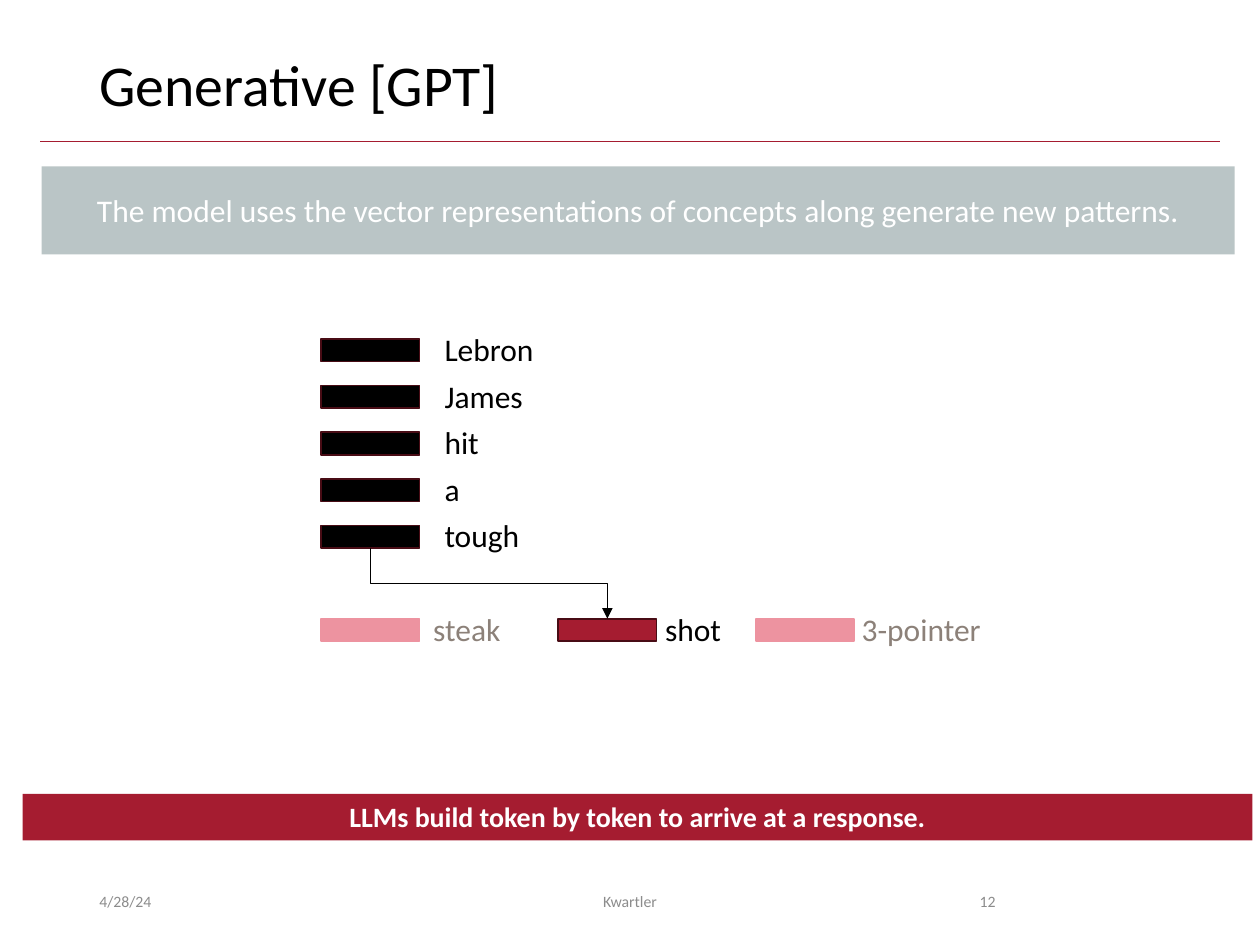
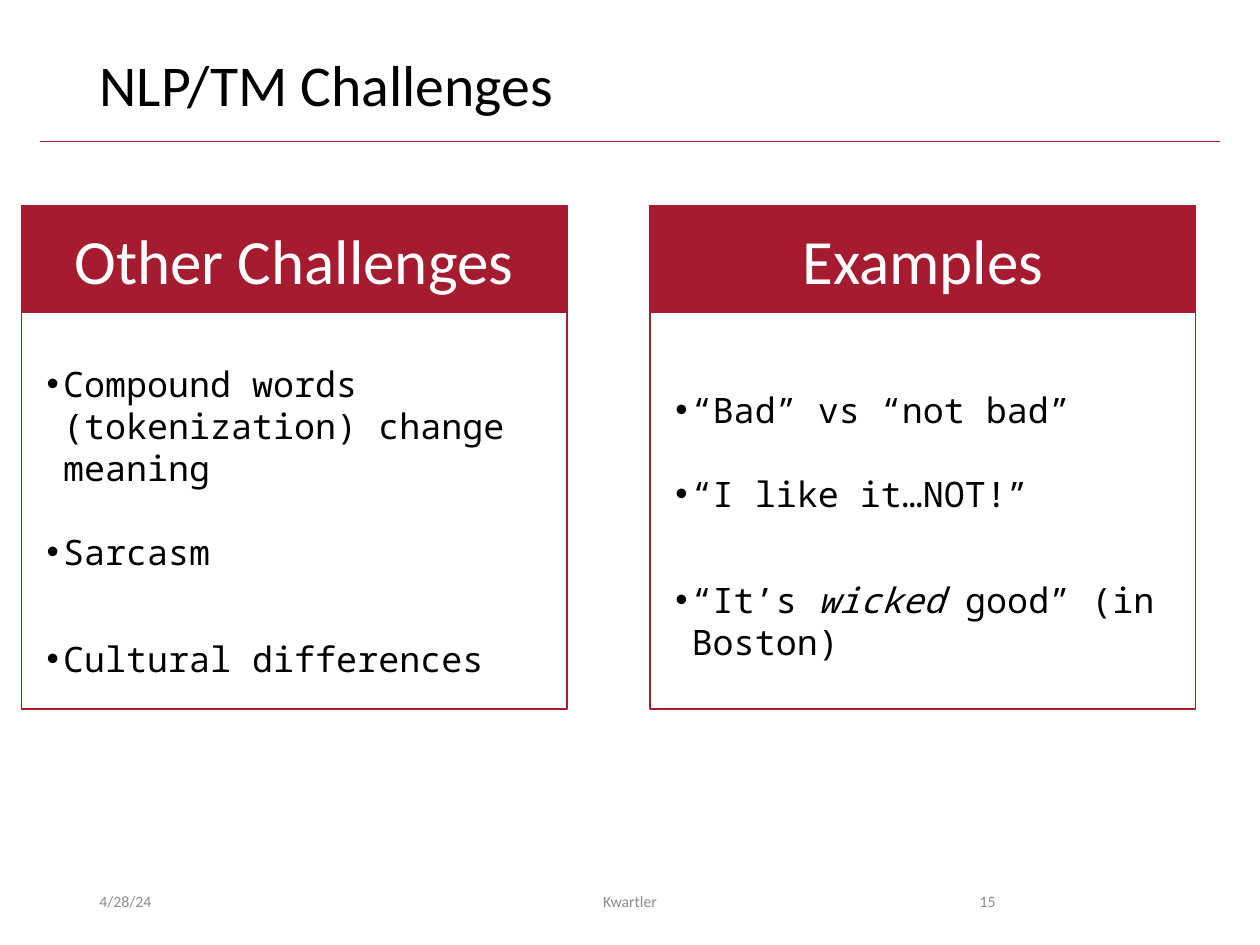
"""Build two language-model slides: token generation and text-mining challenges."""
from lxml.etree import SubElement
from pptx import Presentation
from pptx.dml.color import RGBColor
from pptx.enum.shapes import MSO_CONNECTOR, MSO_SHAPE
from pptx.enum.text import MSO_ANCHOR, MSO_AUTO_SIZE, PP_ALIGN
from pptx.oxml.ns import qn
from pptx.util import Inches, Pt

COLORS = {
    "crimson": "A51C30", "dark_crimson": "480C15", "pink": "ED93A0",
    "mist": "BAC5C6", "stone": "8C8179", "footer": "8C8C8C",
    "black": "000000", "white": "FFFFFF",
}
BODY_FONT = "Calibri"
LIST_FONT = "Noto Sans Mono"

GENERATIVE = {
    "title": "Generative [GPT]",
    "number": "12",
    "banner": "The model uses the vector representations of concepts along generate new patterns.",
    "takeaway": "LLMs build token by token to arrive at a response.",
    "tokens": ["Lebron", "James", "hit", "a", "tough"],
    "candidates": [
        ("steak", 2.55, 0.79, False),
        ("shot", 4.43, 0.75, True),
        ("3-pointer", 6, 0.74, False),
    ],
}
CHALLENGES = {
    "title": "NLP/TM Challenges",
    "number": "15",
    "cards": [
        ("Other Challenges", 0.17, 2.83, [
            [("Compound words (tokenization) change meaning", False)],
            [("Sarcasm", False)],
            [("Cultural differences", False)],
        ]),
        ("Examples", 5.16, 3.03, [
            [("“Bad” vs “not bad”", False)],
            [("“I like it…NOT!”", False)],
            [("“It’s ", False), ("wicked", True), (" good” (in Boston)", False)],
        ]),
    ],
}
FOOTER_DATE = "4/28/24"
FOOTER_NAME = "Kwartler"

BAR_WIDTH, BAR_HEIGHT = 0.78, 0.18
TOKEN_LEFT, TOKEN_TOP, TOKEN_PITCH = 2.55, 2.69, 0.37
CANDIDATE_TOP = 4.91
CARD_WIDTH = 4.33
LIST_SPACING = [0, 24, 37]


def rgb(name):
    return RGBColor.from_string(COLORS[name])


def format_font(font, size, color="black", name=BODY_FONT, bold=False, italic=False):
    font.size, font.name, font.bold, font.italic = Pt(size), name, bold, italic
    font.color.rgb = rgb(color)


def write_text(shape, text, size=18, color="black", bold=False,
               align=PP_ALIGN.LEFT, anchor=MSO_ANCHOR.TOP, line_spacing=None):
    frame = shape.text_frame
    frame.word_wrap = True
    frame.auto_size = MSO_AUTO_SIZE.NONE
    frame.vertical_anchor = anchor
    paragraph = frame.paragraphs[0]
    paragraph.alignment = align
    if line_spacing:
        paragraph.line_spacing = line_spacing
    run = paragraph.add_run()
    run.text = text
    format_font(run.font, size, color, bold=bold)


def place(shape, left, top, width, height):
    shape.left, shape.top = Inches(left), Inches(top)
    shape.width, shape.height = Inches(width), Inches(height)


def add_text(slide, text, left, top, width, height=0.4, **text_format):
    box = slide.shapes.add_textbox(Inches(left), Inches(top), Inches(width), Inches(height))
    write_text(box, text, **text_format)


def add_rectangle(slide, left, top, width, height, fill=None, line=None):
    shape = slide.shapes.add_shape(
        MSO_SHAPE.RECTANGLE, Inches(left), Inches(top), Inches(width), Inches(height))
    shape.shadow.inherit = False
    if fill:
        shape.fill.solid()
        shape.fill.fore_color.rgb = rgb(fill)
    else:
        shape.fill.background()
    if line:
        shape.line.color.rgb = rgb(line)
        shape.line.width = Pt(1)
    else:
        shape.line.fill.background()
    return shape


def add_line(slide, kind, start, end, color):
    line = slide.shapes.add_connector(kind, *(Inches(value) for value in (*start, *end)))
    line.line.color.rgb = rgb(color)
    line.line.width = Pt(0.5)
    SubElement(line._element.spPr, qn("a:effectLst"))
    return line


def add_down_arrow(slide, start, end):
    """Draw a vertical-first elbow as a flipped elbow turned by 270 degrees."""
    center_x, center_y = (start[0] + end[0]) / 2, (start[1] + end[1]) / 2
    half_width, half_height = (end[1] - start[1]) / 2, (end[0] - start[0]) / 2
    arrow = add_line(
        slide, MSO_CONNECTOR.ELBOW,
        (center_x - half_width, center_y - half_height),
        (center_x + half_width, center_y + half_height), "black")
    transform = arrow._element.spPr.find(qn("a:xfrm"))
    transform.set("rot", str(270 * 60000))
    transform.set("flipH", "1")
    SubElement(arrow.line._get_or_add_ln(), qn("a:tailEnd"), type="triangle")


def start_slide(presentation, layout_index, content):
    slide = presentation.slides.add_slide(presentation.slide_layouts[layout_index])
    place(slide.shapes.title, 0.69, 0.4, 8.62, 0.65)
    write_text(slide.shapes.title, content["title"], size=33, line_spacing=0.9)
    add_line(slide, MSO_CONNECTOR.STRAIGHT, (0.32, 1.12), (9.68, 1.12), "crimson")
    footers = [
        (FOOTER_DATE, 0.69, 2.25, PP_ALIGN.LEFT),
        (FOOTER_NAME, 3.31, 3.38, PP_ALIGN.CENTER),
        (content["number"], 7.06, 0.94, PP_ALIGN.RIGHT),
    ]
    for text, left, width, align in footers:
        add_text(slide, text, left, 6.95, width, size=9, color="footer",
                 align=align, anchor=MSO_ANCHOR.MIDDLE)
    return slide


def add_token(slide, text, left, top, label_offset, fill, line, color):
    add_rectangle(slide, left, top, BAR_WIDTH, BAR_HEIGHT, fill, line)
    add_text(slide, text, left + label_offset, top - 0.12, 1.26, color=color)


def build_generative(presentation):
    slide = start_slide(presentation, 5, GENERATIVE)
    banner = add_rectangle(slide, 0.33, 1.32, 9.47, 0.7, "mist")
    write_text(banner, GENERATIVE["banner"], color="white",
               align=PP_ALIGN.CENTER, anchor=MSO_ANCHOR.MIDDLE)
    takeaway = add_rectangle(slide, 0.18, 6.3, 9.76, 0.37, "crimson")
    write_text(takeaway, GENERATIVE["takeaway"], size=16, color="white", bold=True,
               align=PP_ALIGN.CENTER)

    for row, token in enumerate(GENERATIVE["tokens"]):
        top = TOKEN_TOP + row * TOKEN_PITCH
        add_token(slide, token, TOKEN_LEFT, top, 0.88, "black", "dark_crimson", "black")
    arrow_start = (TOKEN_LEFT + BAR_WIDTH / 2, top + BAR_HEIGHT)

    for text, left, label_offset, chosen in GENERATIVE["candidates"]:
        palette = ("crimson", "dark_crimson", "black") if chosen else ("pink", "pink", "stone")
        add_token(slide, text, left, CANDIDATE_TOP, label_offset, *palette)
        if chosen:
            add_down_arrow(slide, arrow_start, (left + BAR_WIDTH / 2, CANDIDATE_TOP))


def fill_list(placeholder, items):
    frame = placeholder.text_frame
    frame.word_wrap = True
    frame.auto_size = MSO_AUTO_SIZE.NONE
    frame.vertical_anchor = MSO_ANCHOR.TOP
    for index, (runs, spacing) in enumerate(zip(items, LIST_SPACING)):
        paragraph = frame.add_paragraph() if index else frame.paragraphs[0]
        paragraph.space_before = Pt(spacing)
        properties = paragraph._p.get_or_add_pPr()
        properties.set("marL", str(Inches(0.13)))
        properties.set("indent", str(-Inches(0.13)))
        SubElement(properties, qn("a:buFont"), typeface="Arial")
        SubElement(properties, qn("a:buChar"), char="•")
        for text, italic in runs:
            run = paragraph.add_run()
            run.text = text
            format_font(run.font, 20, name=LIST_FONT, italic=italic)


def build_challenges(presentation):
    slide = start_slide(presentation, 3, CHALLENGES)
    for index, (heading, left, list_top, items) in enumerate(CHALLENGES["cards"], start=1):
        placeholder = slide.placeholders[index]
        place(placeholder, left + 0.1, list_top, 4.15, 5.14 - list_top)
        fill_list(placeholder, items)
        header = add_rectangle(slide, left, 1.63, CARD_WIDTH, 0.85, "crimson", "crimson")
        write_text(header, heading, size=36, color="white",
                   align=PP_ALIGN.CENTER, anchor=MSO_ANCHOR.MIDDLE)
        add_rectangle(slide, left, 1.78, CARD_WIDTH, 3.85, line="crimson")


def main():
    presentation = Presentation()
    presentation.slide_width, presentation.slide_height = Inches(10), Inches(7.5)
    build_generative(presentation)
    build_challenges(presentation)
    presentation.save("out.pptx")


if __name__ == "__main__":
    main()
